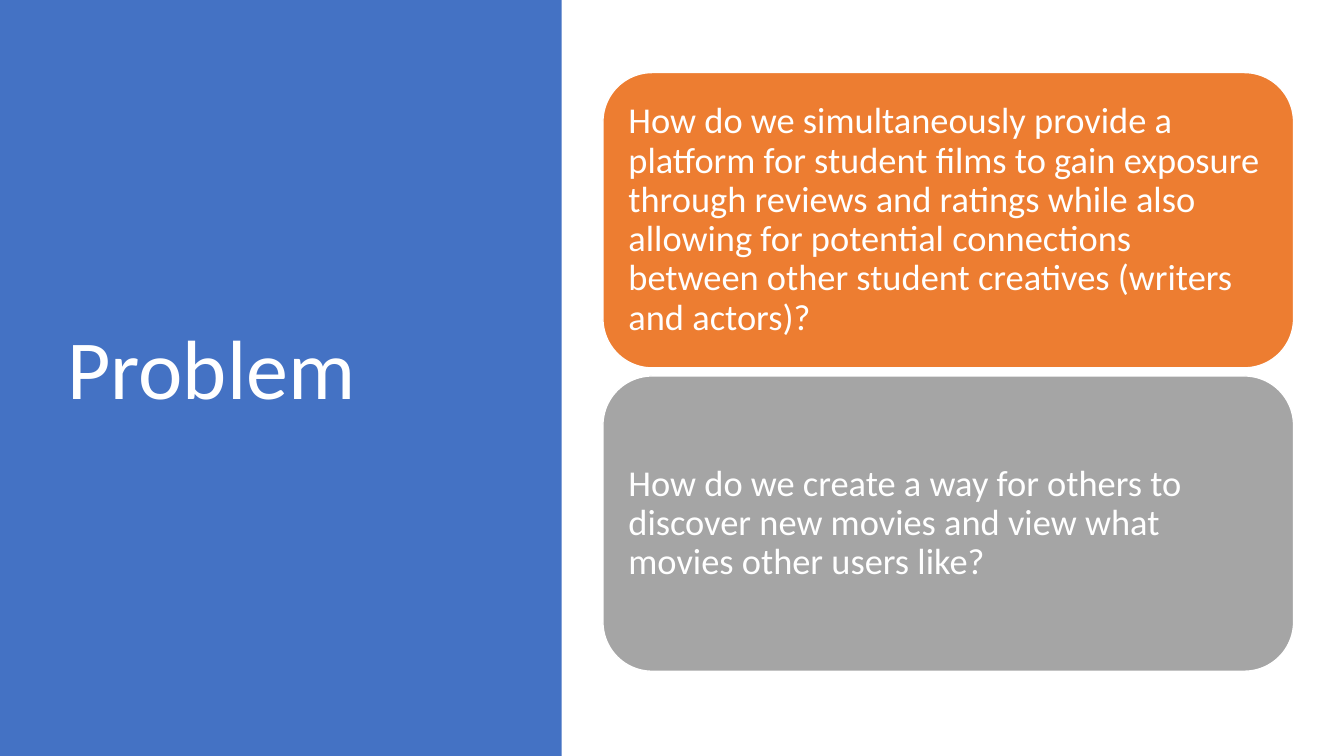
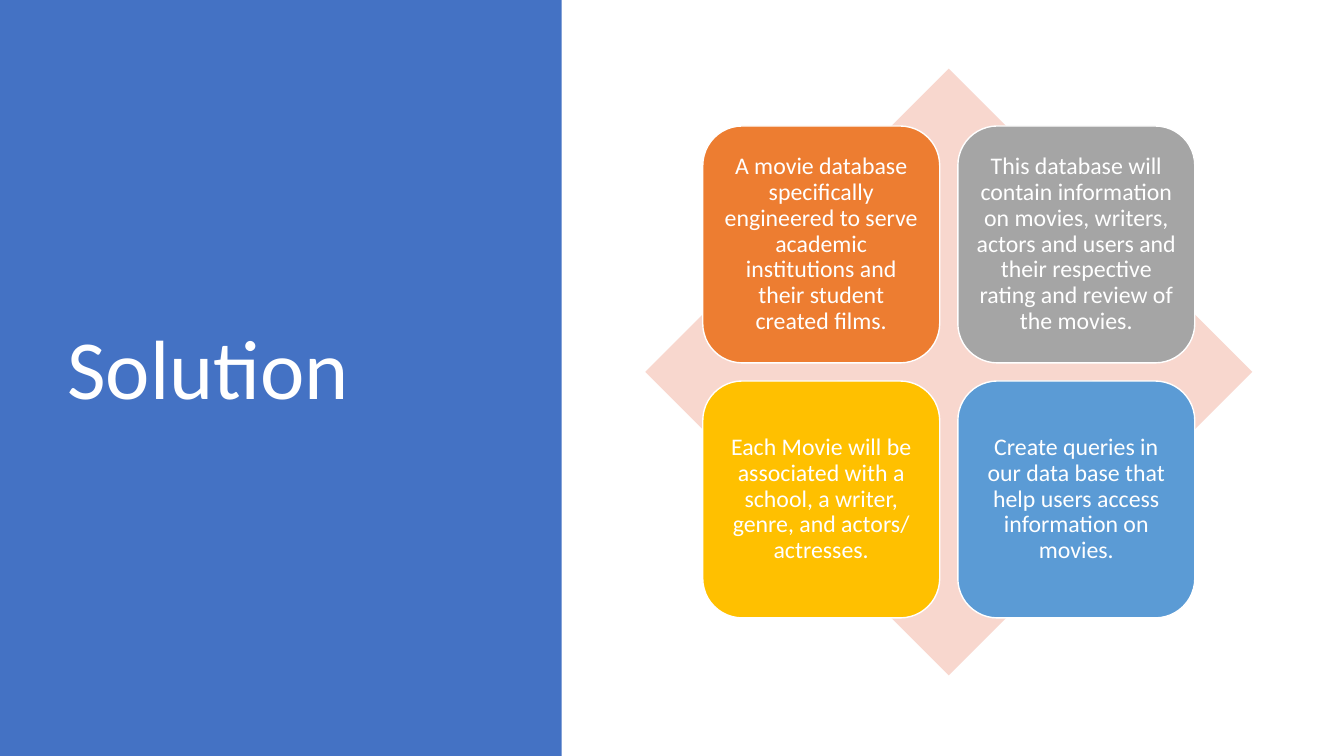
from dataclasses import dataclass

from pptx import Presentation
from pptx.dml.color import RGBColor
from pptx.enum.shapes import MSO_SHAPE
from pptx.enum.text import MSO_ANCHOR, PP_ALIGN
from pptx.util import Inches, Pt


@dataclass(frozen=True)
class Theme:
    font: str = "Calibri"
    white: str = "FFFFFF"
    blue: str = "4472C4"
    orange: str = "ED7D31"
    gray: str = "A5A5A5"
    gold: str = "FFC000"
    sky: str = "5B9BD5"
    blush: str = "F8D7CE"
    title: int = 60
    large: int = 26
    small: int = 17
    edge: int = 1
    lead: float = 0.9


class Deck:
    def __init__(self, theme):
        self.theme = theme
        self.show = Presentation()
        self.show.slide_width = Inches(13.33)
        self.show.slide_height = Inches(7.5)
        self.slide = None

    def page(self, title):
        """Start a slide with the side band and its title."""
        self.slide = self.show.slides.add_slide(self.show.slide_layouts[6])
        self.shape(MSO_SHAPE.RECTANGLE, (0, 0, 5.57, 7.5), self.theme.blue)
        box = self.slide.shapes.add_textbox(
            *map(Inches, (0.57, 0.68, 4.16, 6.02)))
        self.label(box.text_frame, title, self.theme.title)

    def shape(self, kind, area, fill, edge=None):
        """Add a flat shape, outlined only if an edge colour is given."""
        item = self.slide.shapes.add_shape(kind, *map(Inches, area))
        item.shadow.inherit = False
        item.fill.solid()
        item.fill.fore_color.rgb = RGBColor.from_string(fill)
        if edge:
            item.line.color.rgb = RGBColor.from_string(edge)
            item.line.width = Pt(self.theme.edge)
        else:
            item.line.fill.background()
        return item

    def label(self, frame, text, size, align=PP_ALIGN.LEFT, pad=None):
        """Fill a text frame with one run, centred in height."""
        frame.word_wrap = True
        frame.vertical_anchor = MSO_ANCHOR.MIDDLE
        if pad is not None:
            frame.margin_left = frame.margin_right = Inches(pad)
            frame.margin_top = frame.margin_bottom = Inches(pad)
        para = frame.paragraphs[0]
        para.alignment = align
        para.line_spacing = self.theme.lead
        run = para.add_run()
        run.text = text
        run.font.name = self.theme.font
        run.font.size = Pt(size)
        run.font.color.rgb = RGBColor.from_string(self.theme.white)

    def cards(self, items, start, card, gap, cols, size, align, pad):
        """Lay rounded cards out in a grid, row by row."""
        for n, (fill, text) in enumerate(items):
            row, col = divmod(n, cols)
            left = start[0] + col * (card[0] + gap)
            top = start[1] + row * (card[1] + gap)
            item = self.shape(MSO_SHAPE.ROUNDED_RECTANGLE,
                              (left, top, *card), fill, self.theme.white)
            self.label(item.text_frame, text, size, align, pad)


def main():
    theme = Theme()
    deck = Deck(theme)

    # Problem: two stacked questions
    deck.page("Problem")
    asks = [
        (theme.orange,
         "How do we simultaneously provide a platform for student films to "
         "gain exposure through reviews and ratings while also allowing for "
         "potential connections between other student creatives (writers "
         "and actors)?"),
        (theme.gray,
         "How do we create a way for others to discover new movies and view "
         "what movies other users like?"),
    ]
    deck.cards(asks, start=(5.98, 0.72), card=(6.85, 2.93), gap=0.08, cols=1,
               size=theme.large, align=PP_ALIGN.LEFT, pad=0.11)

    # Solution: four cards over a diamond
    deck.page("Solution")
    deck.shape(MSO_SHAPE.DIAMOND, (6.4, 0.68, 6.02, 6.02), theme.blush)
    plans = [
        (theme.orange,
         "A movie database specifically engineered to serve academic "
         "institutions and their student created films."),
        (theme.gray,
         "This database will contain information on movies, writers, actors "
         "and users and their respective rating and review of the movies."),
        (theme.gold,
         "Each Movie will be associated with a school, a writer, genre, and "
         "actors/ actresses."),
        (theme.sky,
         "Create queries in our data base that help users access information "
         "on movies."),
    ]
    deck.cards(plans, start=(6.97, 1.25), card=(2.35, 2.35), gap=0.18, cols=2,
               size=theme.small, align=PP_ALIGN.CENTER, pad=0.07)

    deck.show.save("out.pptx")


if __name__ == "__main__":
    main()
